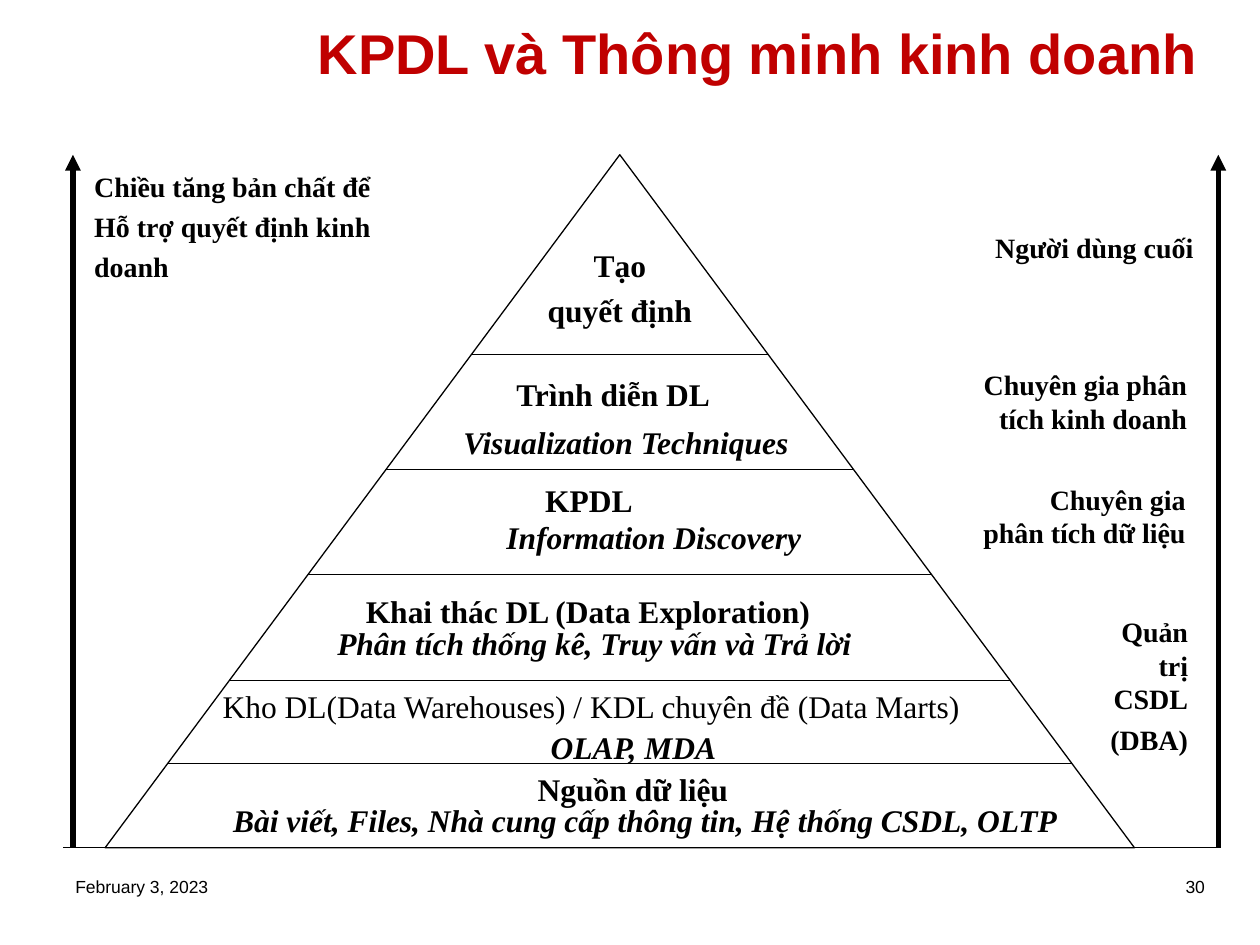
from dataclasses import dataclass

from lxml import etree
from pptx import Presentation
from pptx.dml.color import RGBColor
from pptx.enum.shapes import MSO_CONNECTOR, MSO_SHAPE
from pptx.enum.text import MSO_ANCHOR, MSO_AUTO_SIZE, PP_ALIGN
from pptx.oxml.ns import qn
from pptx.util import Cm, Pt

LEFT, CENTER, RIGHT = PP_ALIGN.LEFT, PP_ALIGN.CENTER, PP_ALIGN.RIGHT
STRAIGHT = MSO_CONNECTOR.STRAIGHT
TRIANGLE = MSO_SHAPE.FLOWCHART_EXTRACT
SERIF, SANS = "Times New Roman", "Arial"
BLACK, RED = "000000", "C00000"

PYRAMID_LEFT, APEX_Y, PYRAMID_WIDTH, PYRAMID_HEIGHT = 2.12, 3.12, 20.75, 13.97
CENTER_X = PYRAMID_LEFT + PYRAMID_WIDTH / 2
BASE_Y = APEX_Y + PYRAMID_HEIGHT
DIVIDERS_Y = (15.39, 13.72, 11.58, 9.47, 7.14)
LEFT_AXIS_X, RIGHT_AXIS_X = 1.47, 24.56


@dataclass(frozen=True)
class Label:
    lines: tuple[str, ...]
    left: float
    top: float
    width: float
    height: float = 1.02
    size: float = 18
    bold: bool = True
    italic: bool = False
    align: PP_ALIGN = LEFT
    wrap: bool = False
    font: str = SERIF


LABELS = (
    Label(("February 3, 2023",), 1.27, 17.53, 5.92, 1.32, 10, bold=False, wrap=True, font=SANS),
    Label(("30",), 18.62, 17.53, 5.92, 1.32, 10, bold=False, align=RIGHT, wrap=True, font=SANS),
    Label(("Chiều tăng bản chất để", "Hỗ trợ quyết định kinh", "doanh"), 1.65, 3.3, 6.4, 2.31, 16),
    Label(("Người dùng cuối",), 19.74, 4.52, 4.57, 0.94, 16, align=RIGHT),
    Label(("Chuyên gia phân tích kinh doanh",), 18.85, 7.29, 5.33, 1.63, 16, align=RIGHT, wrap=True),
    Label(("Chuyên gia\vphân tích dữ liệu",), 19.25, 9.6, 4.9, 1.63, 16, align=RIGHT, wrap=True),
    Label(("Quản trị CSDL", "(DBA)"), 21.79, 12.27, 2.41, 3, 16, align=RIGHT, wrap=True),
    Label(("Tạo", "quyết định"), 10.59, 4.83, 3.81, 1.8, align=CENTER, wrap=True),
    Label(("Trình diễn DL",), 10.16, 7.44, 4.45),
    Label(("Visualization Techniques",), 9.09, 8.41, 7.16, italic=True),
    Label(("KPDL",), 10.74, 9.58, 2.29),
    Label(("Information Discovery",), 9.96, 10.31, 6.45, italic=True),
    Label(("Khai thác DL (Data Exploration)",), 6.99, 11.81, 9.73, align=CENTER, wrap=True),
    Label(("Phân tích thống kê, Truy vấn và Trả lời",), 6.55, 12.45, 10.97, italic=True),
    Label(("Kho DL(Data Warehouses) / KDL chuyên đề (Data Marts)",), 4.24, 13.72, 15.52, bold=False),
    Label(("OLAP, MDA",), 10.8, 14.55, 3.94, italic=True, align=CENTER),
    Label(("Nguồn dữ liệu",), 10.59, 15.39, 4.39),
    Label(("Bài viết, Files, Nhà cung cấp thông tin, Hệ thống CSDL, OLTP",), 4.45, 16.03, 17.3, italic=True),
)


def color(hex_value: str) -> RGBColor:
    return RGBColor.from_string(hex_value)


def set_font(paragraph, name: str, size: float, hex_value: str, bold: bool, italic: bool = False) -> None:
    font = paragraph.font
    font.name, font.size, font.bold, font.italic = name, Pt(size), bold, italic
    font.color.rgb = color(hex_value)


def add_title(slide, text: str) -> None:
    title = slide.shapes.title
    title.left, title.top, title.width, title.height = Cm(6.15), Cm(0.38), Cm(19.25), Cm(1.47)
    frame = title.text_frame
    frame.text = text
    frame.vertical_anchor = MSO_ANCHOR.BOTTOM
    frame.auto_size = MSO_AUTO_SIZE.NONE
    paragraph = frame.paragraphs[0]
    paragraph.alignment = LEFT
    set_font(paragraph, SANS, 32, RED, True)


def add_pyramid(slide) -> None:
    pyramid = slide.shapes.add_shape(
        TRIANGLE, Cm(PYRAMID_LEFT), Cm(APEX_Y), Cm(PYRAMID_WIDTH), Cm(PYRAMID_HEIGHT)
    )
    pyramid.shadow.inherit = False
    pyramid.fill.background()
    pyramid.line.color.rgb = color(BLACK)
    pyramid.line.width = Pt(0.75)


def add_line(slide, x1: float, y1: float, x2: float, y2: float,
             width: float = 0.75, arrow: bool = False) -> None:
    connector = slide.shapes.add_connector(STRAIGHT, Cm(x1), Cm(y1), Cm(x2), Cm(y2))
    connector.line.color.rgb = color(BLACK)
    connector.line.width = Pt(width)
    if arrow:
        etree.SubElement(connector.line._get_or_add_ln(), qn("a:tailEnd"), type="triangle")
    etree.SubElement(connector._element.spPr, qn("a:effectLst"))


def add_divider(slide, y: float) -> None:
    """Draw a level line between the two slopes of the pyramid."""
    half_width = PYRAMID_WIDTH / 2 * (y - APEX_Y) / PYRAMID_HEIGHT
    add_line(slide, CENTER_X - half_width, y, CENTER_X + half_width, y)


def add_label(slide, label: Label) -> None:
    box = slide.shapes.add_textbox(Cm(label.left), Cm(label.top), Cm(label.width), Cm(label.height))
    frame = box.text_frame
    frame.word_wrap = label.wrap
    frame.text = "\n".join(label.lines)
    for index, paragraph in enumerate(frame.paragraphs):
        paragraph.alignment = label.align
        if index:
            paragraph.space_before = Pt(round(label.size * 0.23, 1))
        set_font(paragraph, label.font, label.size, BLACK, label.bold, label.italic)


def main() -> None:
    presentation = Presentation()
    presentation.slide_width, presentation.slide_height = Cm(25.4), Cm(19.05)
    slide = presentation.slides.add_slide(presentation.slide_layouts[5])
    add_title(slide, "KPDL và Thông minh kinh doanh")
    add_pyramid(slide)
    for y in DIVIDERS_Y:
        add_divider(slide, y)
    for x in (LEFT_AXIS_X, RIGHT_AXIS_X):
        add_line(slide, x, BASE_Y, x, APEX_Y, width=3, arrow=True)
    for label in LABELS:
        add_label(slide, label)
    add_line(slide, 1.27, BASE_Y, RIGHT_AXIS_X, BASE_Y)
    presentation.save("out.pptx")


if __name__ == "__main__":
    main()
